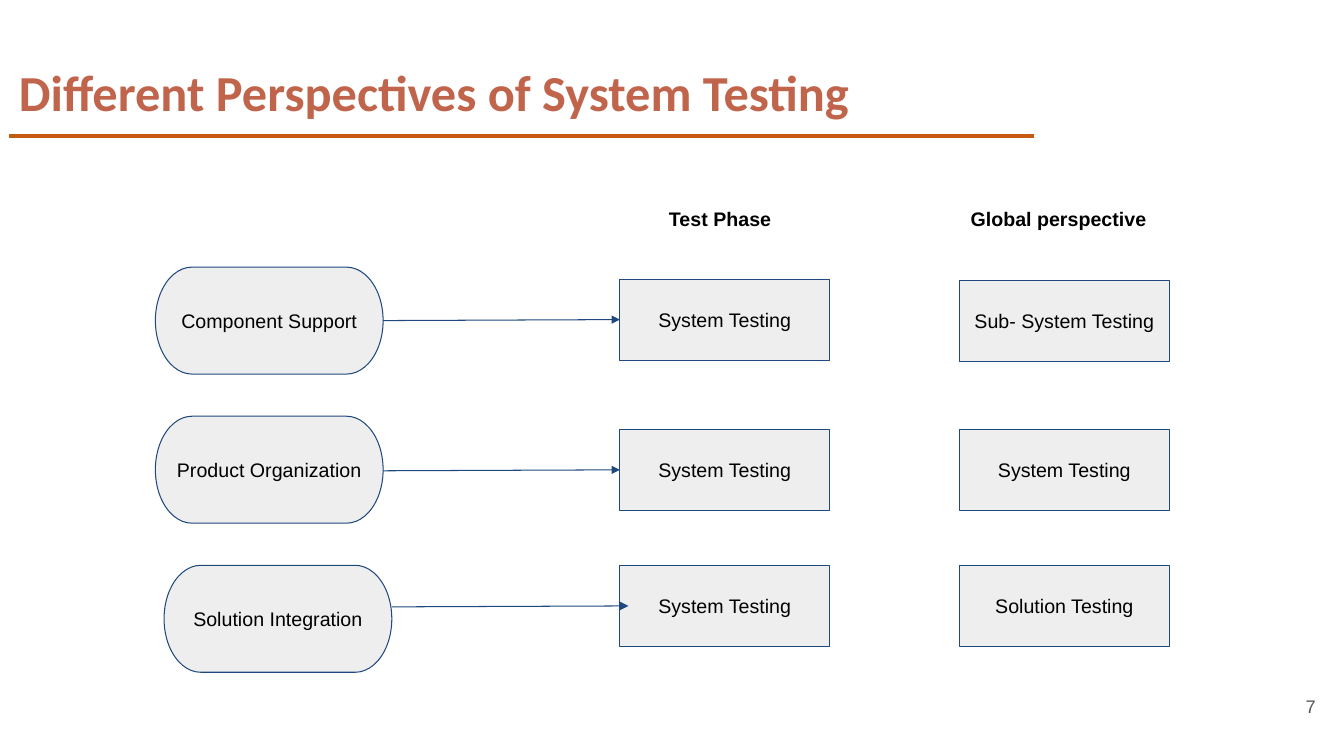
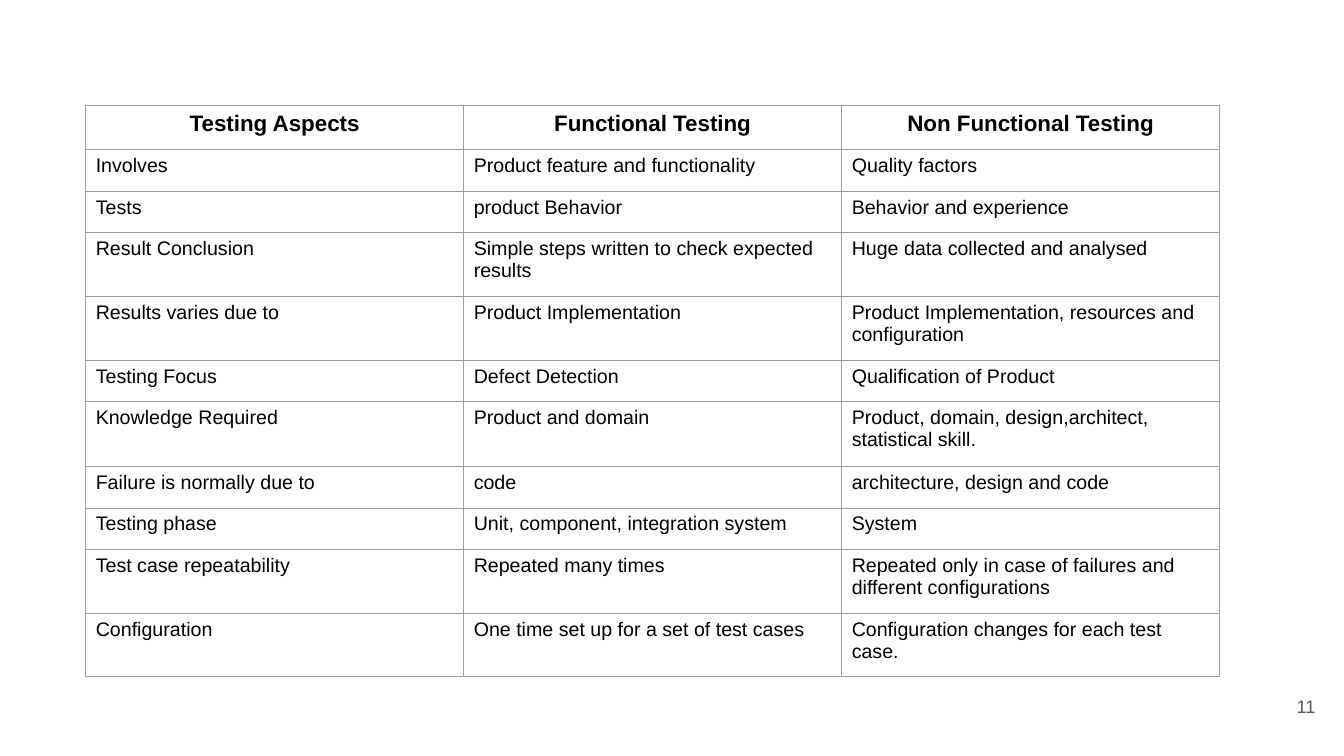
from lxml import etree
from pptx import Presentation
from pptx.dml.color import RGBColor
from pptx.enum import shapes as kinds, text as txt
from pptx.oxml.ns import qn
from pptx.util import Pt

BLACK, GREY, NAVY, PALE = "000000", "595959", "1F497D", "EEEEEE"
TITLE_COLOR, RULE_COLOR, GRID_COLOR = "C0654C", "C55A11", "9E9E9E"
LEFT, CENTER, RIGHT = txt.PP_ALIGN.LEFT, txt.PP_ALIGN.CENTER, txt.PP_ALIGN.RIGHT
TOP, MIDDLE = txt.MSO_ANCHOR.TOP, txt.MSO_ANCHOR.MIDDLE

TITLE = "Different Perspectives of System Testing"
# heading, left, width, alignment
HEADINGS = [
    ("Test Phase", 436.3, 156.2, CENTER),
    ("Global perspective", 686.2, 149.8, LEFT),
]
# group, its shift to the right, test phase, global perspective, top of the phase box
PERSPECTIVES = [
    ("Component Support", 0, "System Testing", "Sub- System Testing", 199.4),
    ("Product Organization", 0, "System Testing", "System Testing", 306.7),
    ("Solution Integration", 6.2, "System Testing", "Solution Testing", 403.9),
]
ASPECTS = [
    ("Testing Aspects", "Functional Testing", "Non Functional Testing"),
    ("Involves", "Product feature and functionality", "Quality factors"),
    ("Tests", "product Behavior", "Behavior and experience"),
    ("Result Conclusion", "Simple steps written to check expected results",
     "Huge data collected and analysed"),
    ("Results varies due to", "Product Implementation",
     "Product Implementation, resources and configuration"),
    ("Testing Focus", "Defect Detection", "Qualification of Product"),
    ("Knowledge Required", "Product and domain",
     "Product, domain, design,architect, statistical skill."),
    ("Failure is normally due to", "code", "architecture, design and code"),
    ("Testing phase", "Unit, component, integration system", "System"),
    ("Test case repeatability", "Repeated many times",
     "Repeated only in case of failures and different configurations"),
    ("Configuration", "One time set up for a set of test cases",
     "Configuration changes for each test case."),
]
HEADER_ROW, ONE_LINE, TWO_LINES = 31.5, 29.6, 45.5
ROW_HEIGHTS = [HEADER_ROW, ONE_LINE, ONE_LINE, TWO_LINES, TWO_LINES, ONE_LINE,
               46.5, ONE_LINE, ONE_LINE, TWO_LINES, TWO_LINES]
COLUMN_WIDTH = 270

GROUP_LEFT, GROUP_TOP, GROUP_PITCH = 111, 190.8, 106.5
GROUP_W, GROUP_H = 162.7, 76.4
PHASE_LEFT, GLOBAL_LEFT, BOX_W, BOX_H = 442.8, 685.4, 149.8, 57.8


def rgb(color):
    return RGBColor.from_string(color)


def write(frame, words, size, color=BLACK, bold=False, align=LEFT, font="Arial"):
    paragraph = frame.paragraphs[0]
    paragraph.alignment = align
    run = paragraph.add_run()
    run.text = words
    run.font.name, run.font.size, run.font.bold = font, Pt(size), bold
    run.font.color.rgb = rgb(color)


def set_frame(frame, anchor, inset_y=7.2):
    frame.word_wrap = True
    frame.vertical_anchor = anchor
    frame.margin_left = frame.margin_right = Pt(7.2)
    frame.margin_top = frame.margin_bottom = Pt(inset_y)


def add_label(slide, words, left, top, width, height, size,
              anchor=TOP, inset_y=7.2, **style):
    label = slide.shapes.add_textbox(Pt(left), Pt(top), Pt(width), Pt(height))
    set_frame(label.text_frame, anchor, inset_y)
    write(label.text_frame, words, size, **style)


def add_box(slide, kind, words, left, top, width, height):
    box = slide.shapes.add_shape(kind, Pt(left), Pt(top), Pt(width), Pt(height))
    box.shadow.inherit = False
    box.fill.solid()
    box.fill.fore_color.rgb = rgb(PALE)
    box.line.color.rgb = rgb(NAVY)
    box.line.width = Pt(0.75)
    set_frame(box.text_frame, MIDDLE)
    write(box.text_frame, words, 14, align=CENTER)


def add_line(slide, start, end, color, width, arrow=False):
    line = slide.shapes.add_connector(
        kinds.MSO_CONNECTOR.STRAIGHT, *(Pt(v) for v in (*start, *end)))
    line.line.color.rgb = rgb(color)
    line.line.width = Pt(width)
    properties = line._element.spPr
    if arrow:
        etree.SubElement(properties.find(qn("a:ln")), qn("a:tailEnd"), type="triangle")
    etree.SubElement(properties, qn("a:effectLst"))


def border_cell(cell, color, width):
    properties = cell._tc.get_or_add_tcPr()
    for position, side in enumerate(("a:lnL", "a:lnR", "a:lnT", "a:lnB")):
        edge = etree.Element(qn(side), w=str(Pt(width)))
        fill = etree.SubElement(edge, qn("a:solidFill"))
        etree.SubElement(fill, qn("a:srgbClr"), val=color)
        properties.insert(position, edge)


def add_slide(deck, number):
    slide = deck.slides.add_slide(deck.slide_layouts[6])
    add_label(slide, str(number), 889.2, 489.6, 57.6, 41, 13, color=GREY, align=RIGHT)
    return slide


def add_title(slide, words):
    add_label(slide, words, 6.5, 20.2, 787, 90, 36, anchor=MIDDLE, inset_y=3.6,
              color=TITLE_COLOR, bold=True, font="Calibri")
    add_line(slide, (6.5, 97.2), (738.7, 97.2), RULE_COLOR, 3)


def build_perspectives(deck):
    slide = add_slide(deck, 7)
    add_title(slide, TITLE)
    for heading, left, width, align in HEADINGS:
        add_label(slide, heading, left, 140.4, width, 31, 14, bold=True, align=align)
    rectangle = kinds.MSO_SHAPE.RECTANGLE
    for row, (group, shift, phase, view, top) in enumerate(PERSPECTIVES):
        group_left = GROUP_LEFT + shift
        add_box(slide, kinds.MSO_SHAPE.FLOWCHART_TERMINATOR, group, group_left,
                GROUP_TOP + row * GROUP_PITCH, GROUP_W, GROUP_H)
        add_box(slide, rectangle, phase, PHASE_LEFT, top, BOX_W, BOX_H)
        add_box(slide, rectangle, view, GLOBAL_LEFT, top + (0.8 if row == 0 else 0),
                BOX_W, BOX_H)
        middle = top + BOX_H / 2
        add_line(slide, (group_left + GROUP_W, middle + 0.7),
                 (PHASE_LEFT + shift, middle), NAVY, 0.75, arrow=True)


def build_comparison(deck):
    slide = add_slide(deck, 11)
    columns = len(ASPECTS[0])
    table = slide.shapes.add_table(
        len(ASPECTS), columns, Pt(61.2), Pt(75.6),
        Pt(columns * COLUMN_WIDTH), Pt(sum(ROW_HEIGHTS))).table
    table.first_row = table.horz_banding = False
    for column in table.columns:
        column.width = Pt(COLUMN_WIDTH)
    for r, (aspect, height) in enumerate(zip(ASPECTS, ROW_HEIGHTS)):
        table.rows[r].height = Pt(height)
        header = r == 0
        for c, words in enumerate(aspect):
            cell = table.cell(r, c)
            cell.fill.background()
            border_cell(cell, GRID_COLOR, 0.75)
            write(cell.text_frame, words, 16 if header else 14, bold=header,
                  align=CENTER if header else LEFT)


def main():
    deck = Presentation()
    deck.slide_width, deck.slide_height = Pt(960), Pt(540)
    build_perspectives(deck)
    build_comparison(deck)
    deck.save("out.pptx")


if __name__ == "__main__":
    main()
